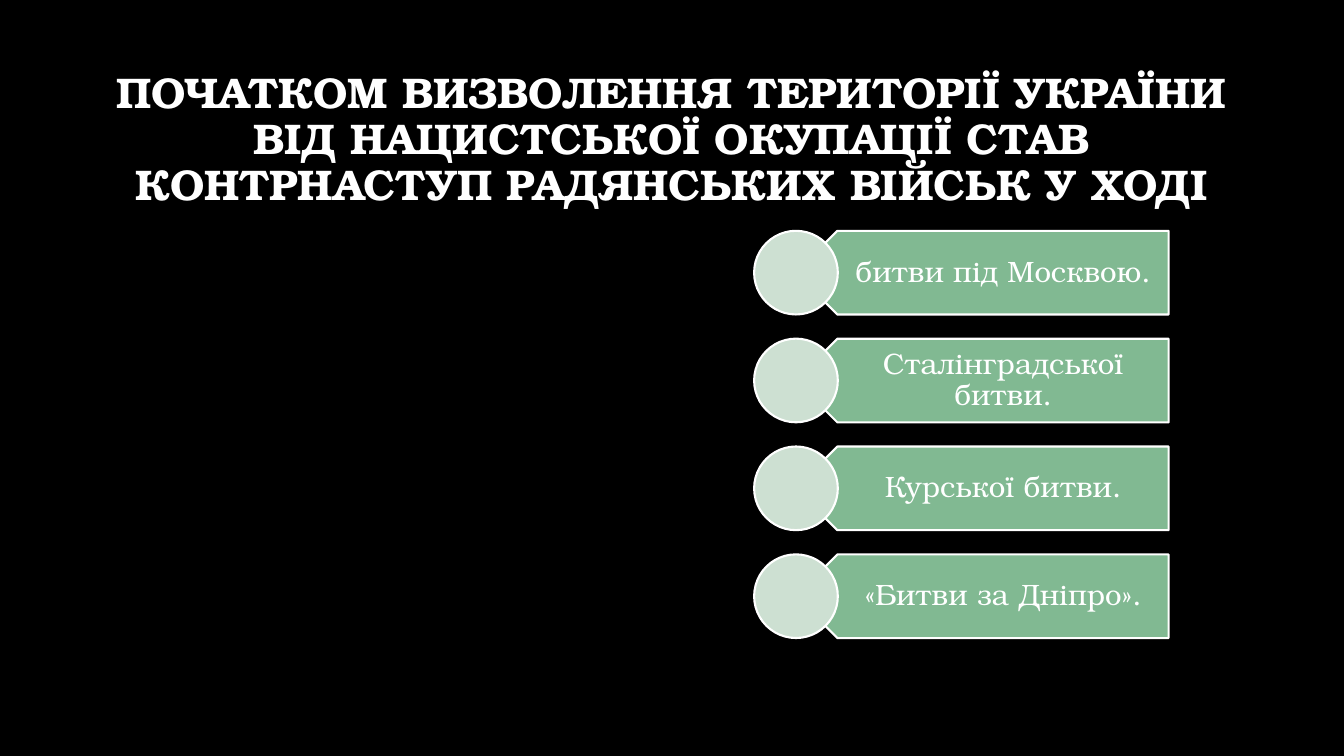
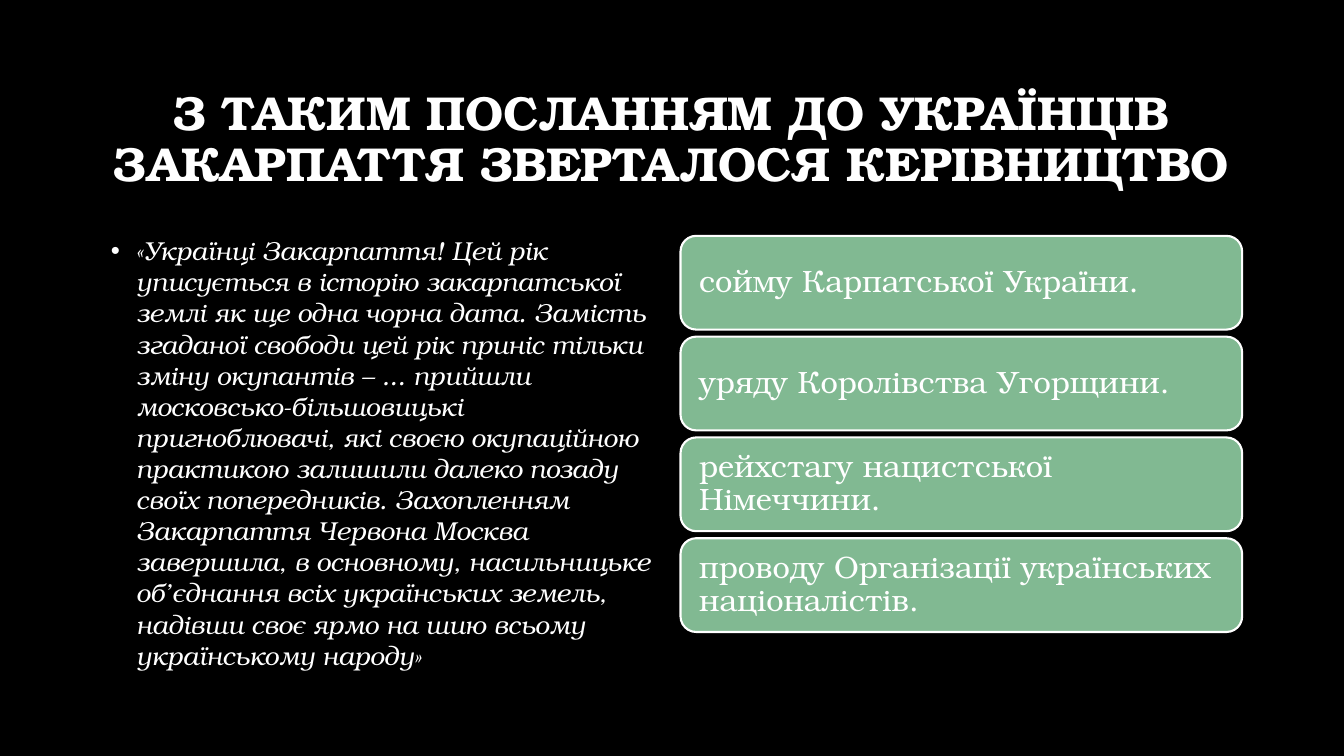
import pptx
import pptx.dml.color
import pptx.enum.shapes
import pptx.enum.text
import pptx.oxml.ns
import pptx.util
from lxml import etree

Inches = pptx.util.Inches
Pt = pptx.util.Pt
RGBColor = pptx.dml.color.RGBColor
Shape = pptx.enum.shapes.MSO_SHAPE
Align = pptx.enum.text.PP_ALIGN
Anchor = pptx.enum.text.MSO_ANCHOR

BLACK = RGBColor(0x00, 0x00, 0x00)
WHITE = RGBColor(0xFF, 0xFF, 0xFF)
GREEN = RGBColor(0x81, 0xB9, 0x92)
PALE_GREEN = RGBColor(0xCD, 0xE0, 0xD2)
FONT = "TeX Gyre Bonum"
TITLE_ONLY = 5

BATTLES = [
    "битви під Москвою.",
    "Сталінградської битви.",
    "Курської битви.",
    "«Битви за Дніпро».",
]
AUTHORITIES = [
    "сойму Карпатської України.",
    "уряду Королівства Угорщини.",
    "рейхстагу нацистської Німеччини.",
    "проводу Організації українських націоналістів.",
]
APPEAL = (
    "«Українці Закарпаття! Цей рік уписується в історію закарпатської землі "
    "як ще одна чорна дата. Замість згаданої свободи цей рік приніс тільки "
    "зміну окупантів – ... прийшли московсько-більшовицькі пригноблювачі, які "
    "своєю окупаційною практикою залишили далеко позаду своїх попередників. "
    "Захопленням Закарпаття Червона Москва завершила, в основному, "
    "насильницьке об’єднання всіх українських земель, надівши своє ярмо на "
    "шию всьому українському народу»"
)


def box(left, top, width, height):
    return [Inches(value) for value in (left, top, width, height)]


def write(shape, text, size, align=Align.LEFT, anchor=Anchor.MIDDLE,
          spacing=0.9, insets=(0.1, 0.05, 0.1, 0.05), **styles):
    frame = shape.text_frame
    left, top, right, bottom = box(*insets)
    frame_format = {
        "word_wrap": True,
        "auto_size": pptx.enum.text.MSO_AUTO_SIZE.NONE,
        "vertical_anchor": anchor,
        "margin_left": left,
        "margin_top": top,
        "margin_right": right,
        "margin_bottom": bottom,
    }
    for name, value in frame_format.items():
        setattr(frame, name, value)
    paragraph = frame.paragraphs[0]
    paragraph.alignment = align
    paragraph.line_spacing = spacing
    run = paragraph.add_run()
    run.text = text
    run.font.color.rgb = WHITE
    for name, value in {"name": FONT, "size": Pt(size), **styles}.items():
        setattr(run.font, name, value)
    return paragraph


def add_bullet(paragraph, indent):
    properties = paragraph._p.get_or_add_pPr()
    properties.set("marL", str(Inches(indent)))
    properties.set("indent", str(-Inches(indent)))
    font = etree.SubElement(properties, pptx.oxml.ns.qn("a:buFont"))
    font.set("typeface", "Arial")
    bullet = etree.SubElement(properties, pptx.oxml.ns.qn("a:buChar"))
    bullet.set("char", "•")


def add_titled_slide(presentation, title, size):
    slide = presentation.slides.add_slide(presentation.slide_layouts[TITLE_ONLY])
    shape = slide.shapes.title
    shape.left, shape.top, shape.width, shape.height = box(1, 0.67, 11.32, 1.45)
    write(shape, title, size, align=Align.CENTER, bold=True)
    return slide


def add_outlined_shape(slide, preset, position, fill):
    shape = slide.shapes.add_shape(preset, *box(*position))
    shape.shadow.inherit = False
    shape.fill.solid()
    shape.fill.fore_color.rgb = fill
    shape.line.color.rgb = WHITE
    shape.line.width = Pt(1.5)
    return shape


def add_battle(slide, top, text):
    height = 0.83
    arrow = add_outlined_shape(slide, Shape.PENTAGON, (7.89, top, 3.7, height), GREEN)
    arrow.rotation = 180
    label = slide.shapes.add_textbox(*box(8.1, top, 3.5, height))
    write(label, text, 21, align=Align.CENTER, insets=(0.36, 0.09, 0.16, 0.09))
    add_outlined_shape(slide, Shape.OVAL, (7.48, top, height, height), PALE_GREEN)


def add_authority(slide, top, text):
    card = add_outlined_shape(slide, Shape.ROUNDED_RECTANGLE, (6.75, top, 5.57, 0.93), GREEN)
    write(card, text, 22, insets=(0.14, 0.09, 0.14, 0.09))


def add_options(slide, add_option, options, top, step):
    for index, text in enumerate(options):
        add_option(slide, top + index * step, text)


def add_quotation(slide, text):
    quotation = slide.shapes.add_textbox(*box(1, 2.28, 5.58, 4.05))
    paragraph = write(quotation, text, 18.5, anchor=Anchor.TOP, spacing=1.0, italic=True)
    add_bullet(paragraph, 0.25)


def main():
    presentation = pptx.Presentation()
    presentation.slide_width = Inches(13.33)
    presentation.slide_height = Inches(7.5)
    background = presentation.slide_master.background.fill
    background.solid()
    background.fore_color.rgb = BLACK

    liberation = add_titled_slide(
        presentation,
        "ПОЧАТКОМ ВИЗВОЛЕННЯ ТЕРИТОРІЇ УКРАЇНИ ВІД НАЦИСТСЬКОЇ ОКУПАЦІЇ СТАВ "
        "КОНТРНАСТУП РАДЯНСЬКИХ ВІЙСЬК У ХОДІ",
        30.6,
    )
    add_options(liberation, add_battle, BATTLES, 2.29, 1.07)

    appeal = add_titled_slide(
        presentation,
        "З ТАКИМ ПОСЛАННЯМ ДО УКРАЇНЦІВ ЗАКАРПАТТЯ ЗВЕРТАЛОСЯ КЕРІВНИЦТВО",
        34,
    )
    add_quotation(appeal, APPEAL)
    add_options(appeal, add_authority, AUTHORITIES, 2.34, 1)

    presentation.save("out.pptx")


if __name__ == "__main__":
    main()
